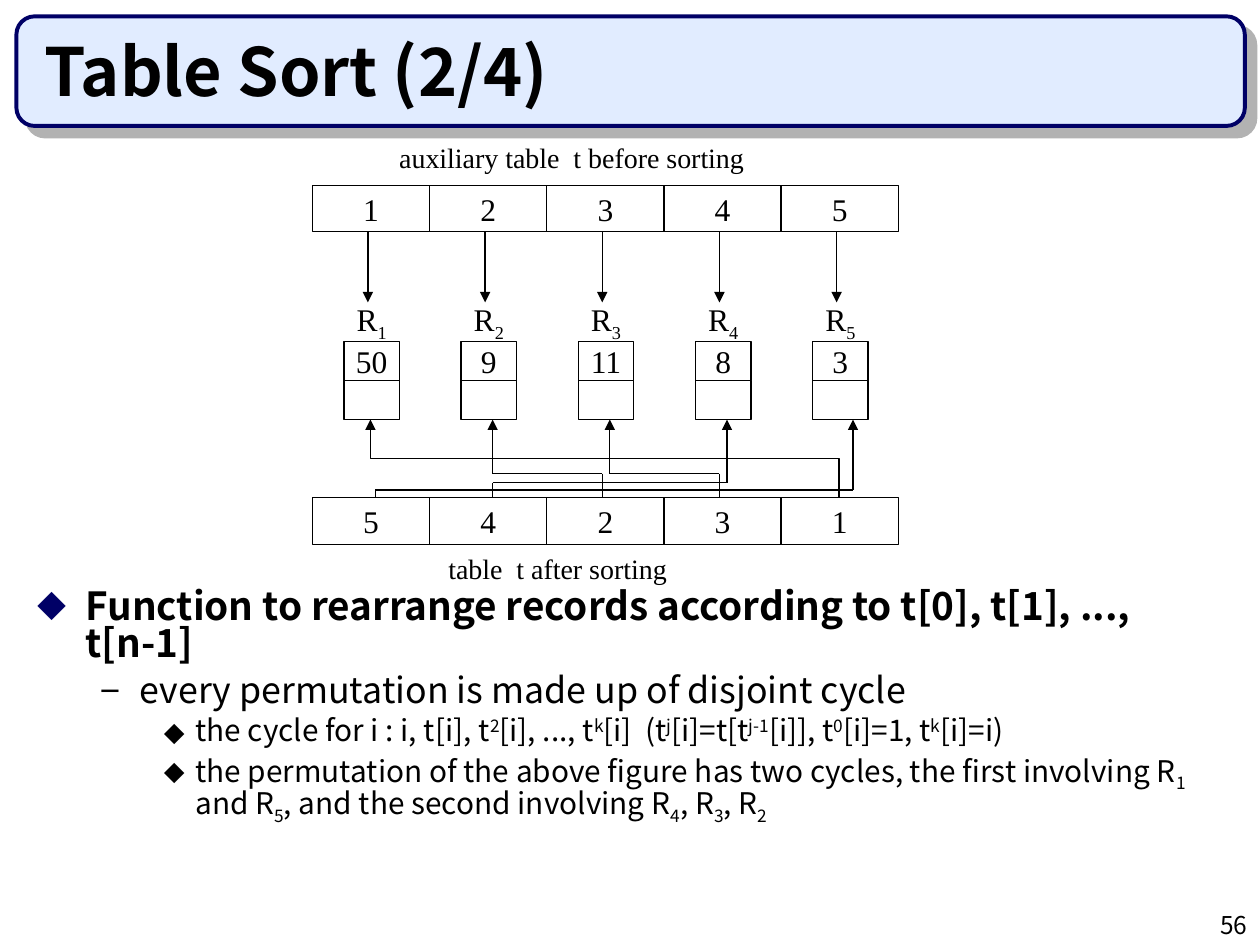
from pptx import Presentation
from pptx import util as u
from pptx.dml import color
from pptx.enum import shapes, text
from pptx.oxml import ns, parse_xml

HUES = {"ink": "000000", "navy": "000066", "pale": "E1ECFF", "shade": "B2B2B2"}
SANS, SERIF = "Noto Sans CJK KR", "Times New Roman"
KIND, ALIGN, ANCHOR = shapes.MSO_SHAPE, text.PP_ALIGN, text.MSO_ANCHOR
LINK = shapes.MSO_CONNECTOR


def rgb(hue):
    return color.RGBColor.from_string(HUES[hue])


def node(tag, attrs="", inner=""):
    return parse_xml(f'<a:{tag} {ns.nsdecls("a")} {attrs}>{inner}</a:{tag}>')


def apply(item, form):
    for name, value in form.items():
        setattr(item, name, value)


class Page:
    """Style and current slide, with one method per kind of element."""

    label = {"name": SERIF, "size": u.Pt(18)}
    note = {"name": SERIF, "size": u.Pt(16)}
    foot = {"name": SANS, "size": u.Pt(14)}
    head = {"name": SANS, "size": u.Pt(38), "bold": True}
    # Font size, bold, indent, hang, space before, bullet, bullet hue, bullet size
    levels = [
        (22.1, True, 0.38, 0.38, 0, "◆", "navy", 75),
        (20.4, False, 0.81, 0.31, 6, "−", "ink", 100),
        (17, False, 1.25, 0.25, 5, "⬥", "ink", 100),
    ]

    def __init__(self, deck):
        self.slide = deck.slides.add_slide(deck.slide_layouts[1])
        self.items = self.slide.shapes

    def place(self, item, box):
        sides = ("left", "top", "width", "height")
        apply(item, dict(zip(sides, map(u.Inches, box))))

    def fill_in(self, para, words, font, shift=-25):
        """Every second piece between bars is raised or lowered by shift percent."""
        for i, piece in enumerate(words.split("|")):
            if piece:
                run = para.add_run()
                run.text = piece
                apply(run.font, font)
                run.font.color.rgb = rgb("ink")
                if i % 2:
                    run.font._element.set("baseline", str(shift * 1000))

    def bar(self, box):
        bar = self.items.add_shape(KIND.ROUNDED_RECTANGLE, *map(u.Inches, box))
        bar.adjustments[0] = 0.167
        bar.fill.solid()
        bar.fill.fore_color.rgb = rgb("pale")
        bar.line.color.rgb = rgb("navy")
        bar.line.width = u.Pt(2.25)
        cast = f'<a:outerShdw dist="{u.Pt(8.5)}" dir="2700000" algn="ctr" rotWithShape="0">' \
               f'<a:srgbClr val="{HUES["shade"]}"/></a:outerShdw>'
        bar._element.spPr.append(node("effectLst", inner=cast))
        self.items._spTree.insert(2, bar._element)

    def title(self, box, words):
        title = self.items.title
        self.place(title, box)
        apply(title.text_frame, {"vertical_anchor": ANCHOR.BOTTOM, "word_wrap": True,
                                 "auto_size": text.MSO_AUTO_SIZE.NONE})
        para = title.text_frame.paragraphs[0]
        para.alignment = ALIGN.LEFT
        self.fill_in(para, words, self.head)

    def body(self, box, rows):
        body = self.slide.placeholders[1]
        self.place(body, box)
        frame = body.text_frame
        frame.auto_size = text.MSO_AUTO_SIZE.NONE
        for i, (level, words, shift) in enumerate(rows):
            para = frame.add_paragraph() if i else frame.paragraphs[0]
            size, bold, left, hang, gap, sign, hue, scale = self.levels[level]
            props = para._p.get_or_add_pPr()
            props.set("marL", str(u.Inches(left)))
            props.set("indent", str(-u.Inches(hang)))
            props.append(node("buClr", inner=f'<a:srgbClr val="{HUES[hue]}"/>'))
            props.append(node("buSzPct", f'val="{scale * 1000}"'))
            props.append(node("buFont", f'typeface="{SANS}"'))
            props.append(node("buChar", f'char="{sign}"'))
            apply(para, {"level": level, "line_spacing": 0.8, "space_before": u.Pt(gap)})
            self.fill_in(para, words, {"name": SANS, "size": u.Pt(size), "bold": bold}, shift)

    def words(self, box, words, font, align, anchor=ANCHOR.TOP, wrap=True):
        item = self.items.add_textbox(*map(u.Inches, box))
        apply(item.text_frame, {"word_wrap": wrap, "vertical_anchor": anchor})
        para = item.text_frame.paragraphs[0]
        para.alignment = align
        self.fill_in(para, words, font)

    def cell(self, box, words=""):
        cell = self.items.add_shape(KIND.RECTANGLE, *map(u.Inches, box))
        cell.shadow.inherit = False
        cell.fill.background()
        cell.line.color.rgb = rgb("ink")
        cell.line.width = u.Pt(0.75)
        apply(cell.text_frame, {"word_wrap": False, "vertical_anchor": ANCHOR.MIDDLE})
        para = cell.text_frame.paragraphs[0]
        para.alignment = ALIGN.CENTER
        self.fill_in(para, words, self.label)

    def line(self, start, end, arrow=False, kind=LINK.STRAIGHT):
        line = self.items.add_connector(kind, *map(u.Inches, start + end))
        line.line.color.rgb = rgb("ink")
        line.line.width = u.Pt(0.75)
        if arrow:
            line.line._get_or_add_ln().append(node("tailEnd", 'type="triangle"'))
        line._element.spPr.append(node("effectLst"))
        return line

    def route(self, *points):
        last = len(points) - 2
        for i, (start, end) in enumerate(zip(points, points[1:])):
            self.line(start, end, arrow=i == last)


def main():
    deck = Presentation()
    deck.slide_width, deck.slide_height = u.Inches(10), u.Inches(7.5)
    page = Page(deck)

    # Title, bar and page number
    page.bar((0.13, 0.13, 9.75, 0.87))
    page.title((0.25, 0.25, 9.42, 0.67), "Table Sort (2/4)")
    page.words((7.92, 7.17, 2.08, 0.33), "56", page.foot, ALIGN.RIGHT)

    # Explanation
    page.body((0.2, 4.64, 9.42, 2.26), [
        (0, "Function to rearrange records according to t[0], t[1], ..., t[n-1]", 0),
        (1, "every permutation is made up of disjoint cycle", 0),
        (2, "the cycle for i : i, t[i], t|2|[i], ..., t|k|[i]  (t|j|[i]=t[t|j-1|[i]], "
            "t|0|[i]=1, t|k|[i]=i)", 30),
        (2, "the permutation of the above figure has two cycles, the first involving R|1 |"
            "and R|5|, and the second involving R|4|, R|3|, R|2|", -25),
    ])

    # Tables before and after sorting, with the records between them
    pitch, wide, tall = 0.93, 0.44, 0.31
    upper, lower, height = 1.47, 3.95, 0.37
    name, key = 2.4, 2.71
    foot = key + 2 * tall
    columns = zip("12345", "54231", ("50", "9", "11", "8", "3"))
    for i, (before, after, value) in enumerate(columns):
        step = i * pitch
        page.cell((2.48 + step, upper, pitch, height), before)
        page.cell((2.48 + step, lower, pitch, height), after)
        page.words((2.73 + step, name, wide, tall), f"R|{before}|", page.label,
                   ALIGN.CENTER, ANCHOR.MIDDLE, False)
        page.cell((2.73 + step, key, wide, tall), value)
        page.cell((2.73 + step, key + tall, wide, tall))
        page.line((2.92 + step, upper + height), (2.92 + step, name), arrow=True)

    # Links from the sorted table up to the records
    for start, rail, end in [(5.71, 3.76, 4.84), (4.78, 3.76, 3.91),
                             (2.98, 3.89, 6.77), (3.91, 3.83, 5.77)]:
        page.route((start, lower), (start, rail), (end, rail), (end, foot))
    # A quarter turn makes the elbow leave and arrive upright
    elbow = page.line((4.49, 5.5), (5.11, 1.78), True, LINK.ELBOW)
    elbow._element.spPr.xfrm.set("rot", "16200000")

    # Captions
    page.words((3.07, 1.07, 3.69, 0.37), "auxiliary table  t before sorting",
               page.note, ALIGN.JUSTIFY)
    page.words((3.46, 4.33, 2.68, 0.37), "table  t after sorting", page.note, ALIGN.JUSTIFY)

    deck.save("out.pptx")


if __name__ == "__main__":
    main()
